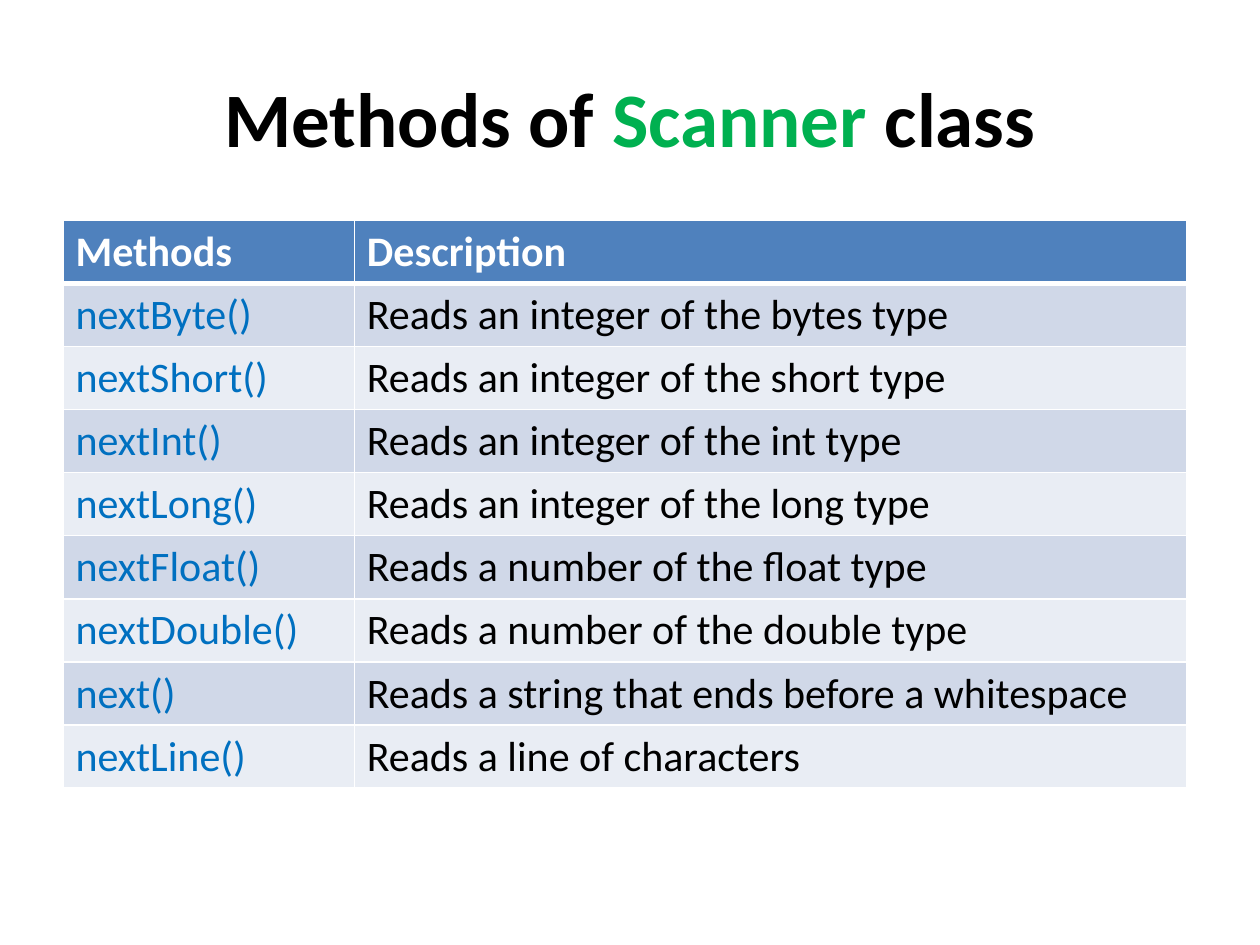
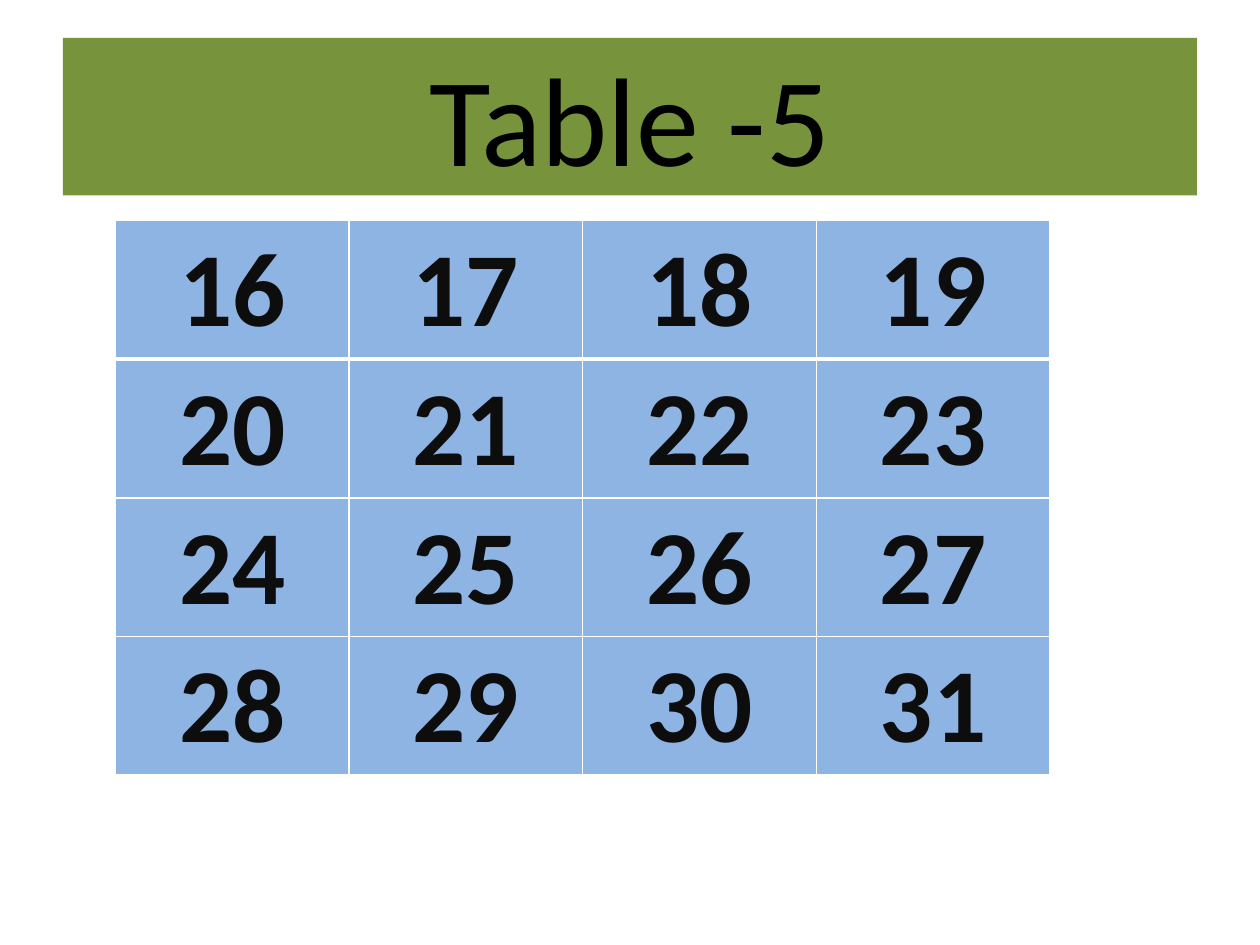
from lxml.etree import SubElement
from pptx import Presentation
from pptx.dml.color import RGBColor
from pptx.enum.text import MSO_ANCHOR as Anchor, PP_ALIGN as Align
from pptx.oxml.ns import qn
from pptx.util import Pt

FONT = "Calibri"
COLORS = {
    "text": "000000", "white": "FFFFFF", "keyword": "00B050",
    "method": "0070C0", "header": "4F81BD", "band_dark": "D0D8E8",
    "band_light": "E9EDF4", "banner": "77933C", "number": "0D0D0D",
    "number_cell": "8EB4E3",
}
TITLE_BOX = (36, 21.6, 648, 90)
METHODS = [
    ("nextByte()", "Reads an integer of the bytes type"),
    ("nextShort()", "Reads an integer of the short type"),
    ("nextInt()", "Reads an integer of the int type"),
    ("nextLong()", "Reads an integer of the long type"),
    ("nextFloat()", "Reads a number of the float type"),
    ("nextDouble()", "Reads a number of the double type"),
    ("next()", "Reads a string that ends before a whitespace"),
    ("nextLine()", "Reads a line of characters"),
]


def rgb(name):
    return RGBColor.from_string(COLORS[name])


def paint(target, color):
    target.fill.solid()
    target.fill.fore_color.rgb = rgb(color)


def style_run(run, size, color, bold):
    run.font.name = FONT
    run.font.size = Pt(size)
    run.font.bold = bold
    run.font.color.rgb = rgb(color)


def add_title(slide, box, parts, size, bold=False, banner=None):
    title = slide.shapes.add_textbox(*map(Pt, box))
    if banner:
        paint(title, banner)
    frame = title.text_frame
    frame.word_wrap = True
    frame.vertical_anchor = Anchor.MIDDLE
    paragraph = frame.paragraphs[0]
    paragraph.alignment = Align.CENTER
    for text, color in parts:
        run = paragraph.add_run()
        run.text = text
        style_run(run, size, color, bold)


def add_borders(cell, row):
    widths = {"a:lnL": 1, "a:lnR": 1,
              "a:lnT": 3 if row == 1 else 1,
              "a:lnB": 3 if row == 0 else 1}
    properties = cell._tc.get_or_add_tcPr()
    for side, width in widths.items():
        line = SubElement(properties, qn(side), w=str(Pt(width)))
        fill = SubElement(line, qn("a:solidFill"))
        SubElement(fill, qn("a:srgbClr"), val=COLORS["white"])


def add_grid(slide, box, rows, column_widths, size, style, align=Align.LEFT):
    grid = slide.shapes.add_table(
        len(rows), len(column_widths), *map(Pt, box)).table
    for column, width in zip(grid.columns, column_widths):
        column.width = Pt(width)
    for r, texts in enumerate(rows):
        grid.rows[r].height = Pt(box[3] / len(rows))
        for c, text in enumerate(texts):
            fill, color, bold = style(r, c)
            cell = grid.cell(r, c)
            add_borders(cell, r)
            paint(cell, fill)
            cell.text_frame.text = text
            paragraph = cell.text_frame.paragraphs[0]
            paragraph.alignment = align
            style_run(paragraph.runs[0], size, color, bold)


def method_style(row, column):
    if row == 0:
        return "header", "white", True
    band = "band_dark" if row % 2 else "band_light"
    return band, "text" if column else "method", False


def number_style(row, column):
    return "number_cell", "number", True


def add_methods_slide(slide):
    add_title(slide, TITLE_BOX,
              [("Methods of ", "text"), ("Scanner", "keyword"),
               (" class", "text")], 44, bold=True)
    add_grid(slide, (36, 126, 642, 324),
             [("Methods", "Description"), *METHODS],
             (166.5, 475.5), 24, method_style)


def add_numbers_slide(slide, first=16, side=4):
    add_title(slide, TITLE_BOX, [("Table -5", "text")], 72, banner="banner")
    left, top, width, height = 66, 126, 534, 316.8
    numbers = [[str(first + side * r + c) for c in range(side)]
               for r in range(side)]
    add_grid(slide, (left, top, width, height), numbers,
             [width / side] * side, 60, number_style, Align.CENTER)


deck = Presentation()
deck.slide_width, deck.slide_height = Pt(720), Pt(540)
blank = deck.slide_layouts[6]
for build in (add_methods_slide, add_numbers_slide):
    build(deck.slides.add_slide(blank))
deck.save("out.pptx")
